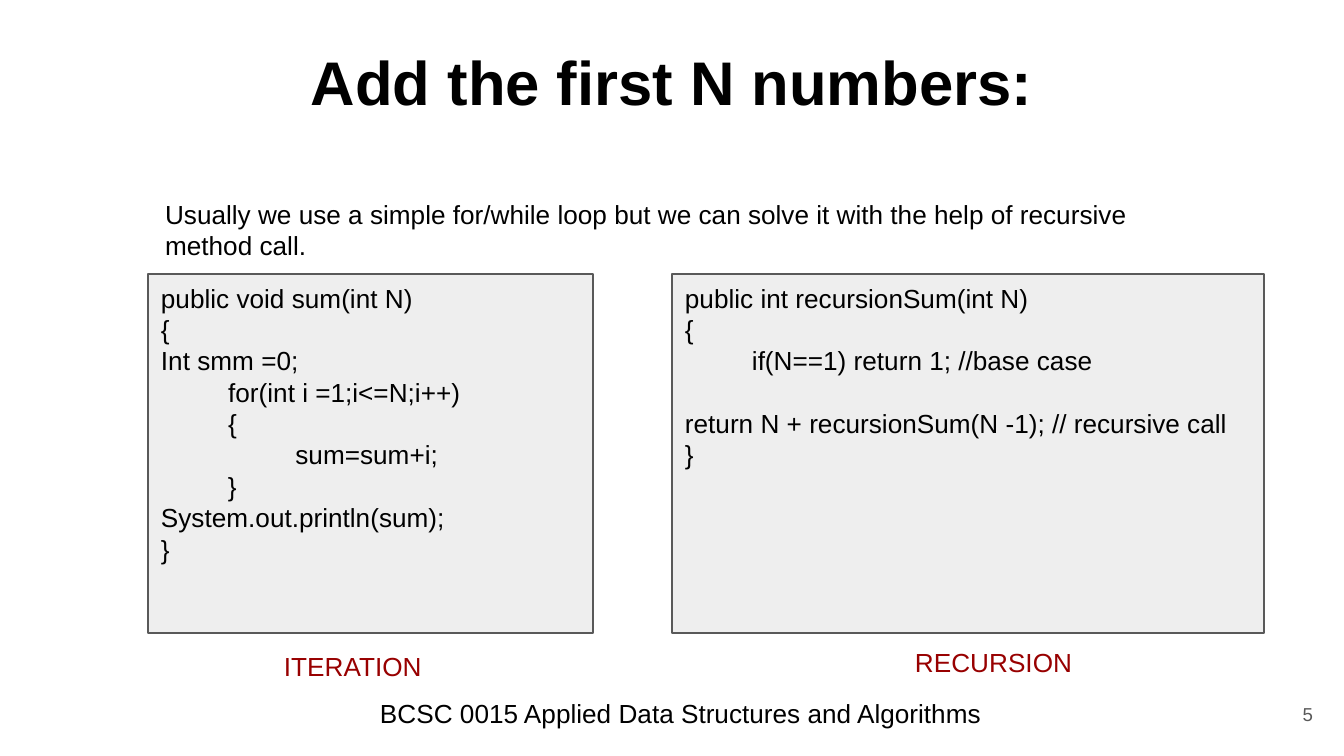
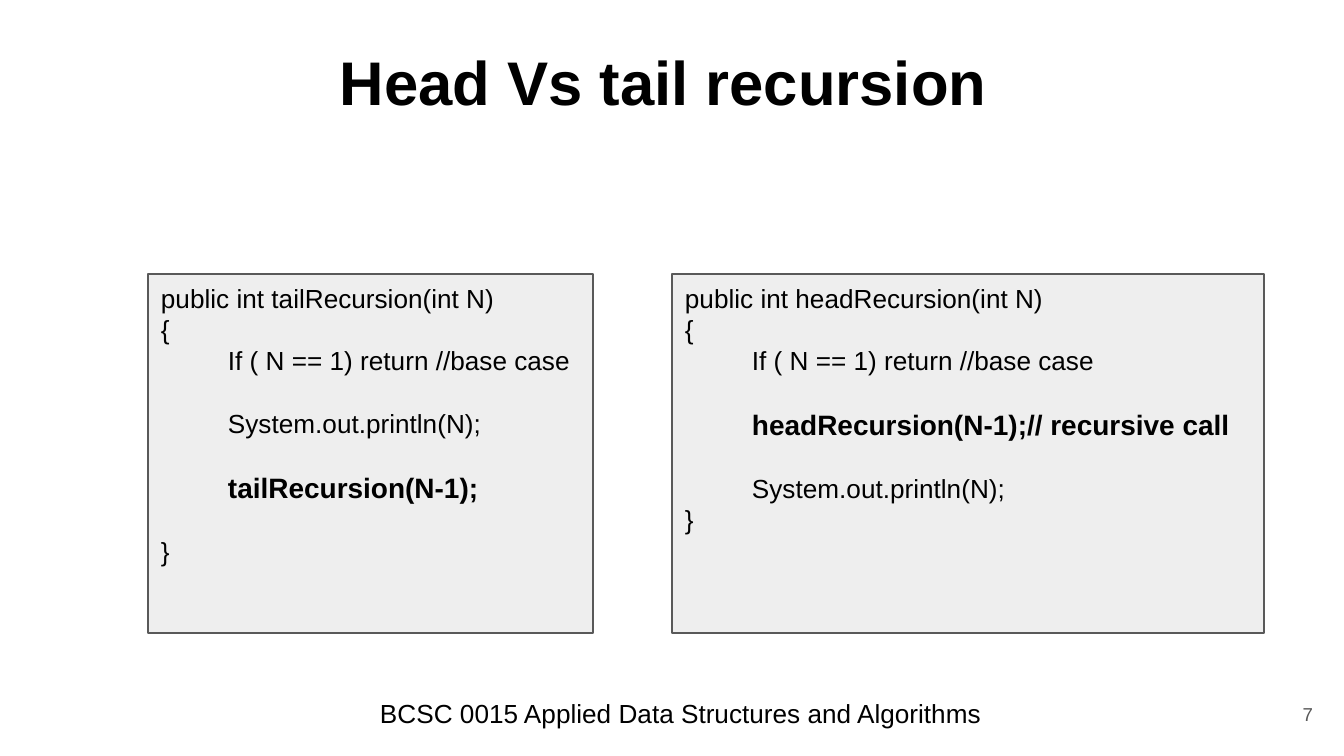
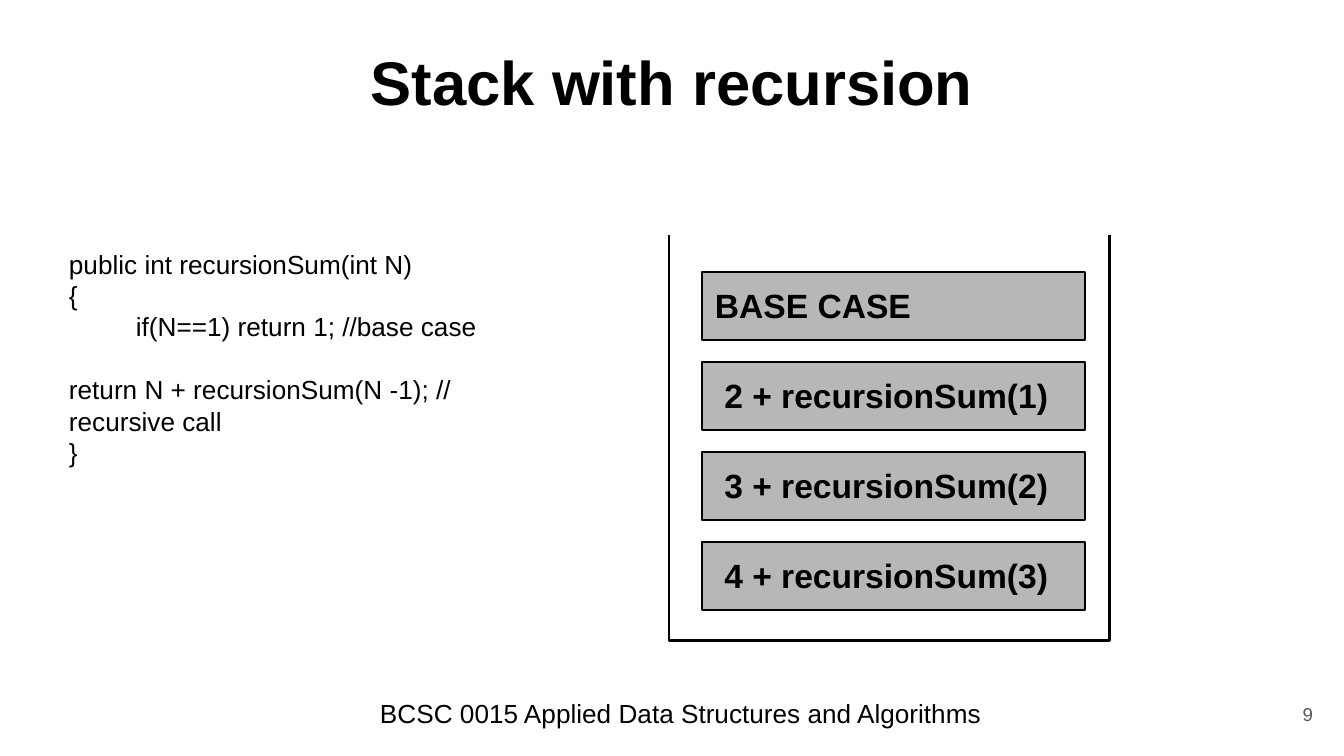
import dataclasses

import pptx
import pptx.dml.color
import pptx.enum.shapes
import pptx.enum.text
import pptx.util

PX = 914400 / 134.4
SLIDE_SIZE = (1344, 756)
FONT = "Arial"
COLORS = {
    "text": "000000",
    "muted": "595959",
    "label": "980000",
    "panel": "EEEEEE",
    "stack": "B7B7B7",
    "background": "FFFFFF",
}
ALIGN = pptx.enum.text.PP_ALIGN
ANCHOR = pptx.enum.text.MSO_ANCHOR

INSET = 13
PANEL_INSET_TOP = 8
HALF_TAB = 67
BLANK_LINE = 16.8  # points

TITLE_BOX = (46, 20, 1252, 92)
FOOTER_BOX = (367, 684, 663, 62)
NUMBER_BOX = (1246, 685, 80, 58)
LEFT_PANEL = (148, 274, 445, 359)
RIGHT_PANEL = (672, 274, 592, 359)
INTRO_BOX = (152, 185, 1080, 90)
ITERATION_BOX = (271, 637, 198, 59)
RECURSION_BOX = (902, 633, 198, 59)
STACK_CODE_BOX = (56, 235, 441, 281)
STACK_FRAME = (669, 200, 441, 441)
STACK_OPENING = (655, 177, 468, 58)
FIRST_CALL = (702, 272, 383, 68)
CALL_PITCH = 90


@dataclasses.dataclass
class Line:
    """One line of text; gap leaves one blank line above it."""
    text: str
    indent: int = 0
    gap: bool = False
    size: int = 14
    bold: bool = False


FOOTER = "BCSC 0015 Applied Data Structures and Algorithms"
INTRO = ("Usually we use a simple for/while loop but we can solve it "
         "with the help of recursive method call.")

ITERATIVE_SUM = [
    Line("public void sum(int N)"),
    Line("{"),
    Line("Int smm =0;"),
    Line("\tfor(int i =1;i<=N;i++)"),
    Line("\t{"),
    Line("\t\tsum=sum+i;"),
    Line("}", HALF_TAB),
    Line("System.out.println(sum);"),
    Line("}"),
]
RECURSIVE_SUM = [
    Line("public int recursionSum(int N)"),
    Line("{"),
    Line("if(N==1) return 1; //base case", HALF_TAB),
    Line("return N + recursionSum(N -1); // recursive call", gap=True),
    Line("}"),
]
TAIL_RECURSION = [
    Line("public int tailRecursion(int N)"),
    Line("{"),
    Line("If ( N == 1) return //base case", HALF_TAB),
    Line("System.out.println(N);", HALF_TAB, gap=True),
    Line("tailRecursion(N-1);", HALF_TAB, gap=True, size=15, bold=True),
    Line("}", gap=True),
]
HEAD_RECURSION = [
    Line("public int headRecursion(int N)"),
    Line("{"),
    Line("If ( N == 1) return //base case", HALF_TAB),
    Line("headRecursion(N-1);// recursive call", HALF_TAB, gap=True, size=15, bold=True),
    Line("System.out.println(N);", HALF_TAB, gap=True),
    Line("}"),
]
STACK_CALLS = [
    "BASE CASE",
    " 2 + recursionSum(1)",
    " 3 + recursionSum(2)",
    " 4 + recursionSum(3)",
]


def emu(pixels):
    return pptx.util.Emu(round(pixels * PX))


def emu_box(box):
    return [emu(length) for length in box]


def rgb(name):
    return pptx.dml.color.RGBColor.from_string(COLORS[name])


def write(shape, lines, color="text", align=ALIGN.LEFT, anchor=ANCHOR.TOP, inset_top=INSET):
    frame = shape.text_frame
    frame.word_wrap = True
    frame.auto_size = pptx.enum.text.MSO_AUTO_SIZE.NONE
    frame.vertical_anchor = anchor
    frame.margin_left = frame.margin_right = frame.margin_bottom = emu(INSET)
    frame.margin_top = emu(inset_top)
    for index, line in enumerate(lines):
        paragraph = frame.add_paragraph() if index else frame.paragraphs[0]
        paragraph.text = line.text
        paragraph.alignment = align
        if line.indent:
            properties = paragraph._p.get_or_add_pPr()
            properties.set("marL", "0")
            properties.set("indent", str(emu(line.indent)))
        if line.gap:
            paragraph.space_before = pptx.util.Pt(BLANK_LINE)
        paragraph.font.name = FONT
        paragraph.font.size = pptx.util.Pt(line.size)
        paragraph.font.bold = line.bold
        paragraph.font.color.rgb = rgb(color)


def add_text(slide, box, lines, **style):
    write(slide.shapes.add_textbox(*emu_box(box)), lines, **style)


def add_rectangle(shapes, box, fill, line=None, width=0.75):
    shape = shapes.add_shape(pptx.enum.shapes.MSO_SHAPE.RECTANGLE, *emu_box(box))
    shape.shadow.inherit = False
    shape.fill.solid()
    shape.fill.fore_color.rgb = rgb(fill)
    if line:
        shape.line.color.rgb = rgb(line)
        shape.line.width = pptx.util.Pt(width)
    else:
        shape.line.fill.background()
    return shape


def add_code_panel(slide, box, lines):
    panel = add_rectangle(slide.shapes, box, "panel", "muted")
    write(panel, lines, inset_top=PANEL_INSET_TOP)


def add_slide(presentation, title, number):
    """Add a slide with the shared title, footer and slide number."""
    slide = presentation.slides.add_slide(presentation.slide_layouts[5])
    heading = slide.shapes.title
    heading.left, heading.top, heading.width, heading.height = emu_box(TITLE_BOX)
    write(heading, [Line(title, size=33, bold=True)], align=ALIGN.CENTER)
    heading.text_frame.paragraphs[0].line_spacing = 1.15
    add_text(slide, FOOTER_BOX, [Line(FOOTER)])
    add_text(slide, NUMBER_BOX, [Line(str(number), size=10)],
             color="muted", align=ALIGN.RIGHT, anchor=ANCHOR.MIDDLE)
    return slide


def add_sum_slide(presentation):
    slide = add_slide(presentation, "Add the first N numbers:", 5)
    add_code_panel(slide, LEFT_PANEL, ITERATIVE_SUM)
    add_code_panel(slide, RIGHT_PANEL, RECURSIVE_SUM)
    add_text(slide, INTRO_BOX, [Line(INTRO)])
    add_text(slide, ITERATION_BOX, [Line("ITERATION")], color="label")
    add_text(slide, RECURSION_BOX, [Line("RECURSION")], color="label")


def add_head_tail_slide(presentation):
    # The trailing space belongs to the centred title line.
    slide = add_slide(presentation, "Head Vs tail recursion ", 7)
    add_code_panel(slide, LEFT_PANEL, TAIL_RECURSION)
    add_code_panel(slide, RIGHT_PANEL, HEAD_RECURSION)


def add_stack_slide(presentation):
    slide = add_slide(presentation, "Stack with recursion", 9)
    add_text(slide, STACK_CODE_BOX, RECURSIVE_SUM)
    stack = slide.shapes.add_group_shape().shapes
    add_rectangle(stack, STACK_FRAME, "background", "text", 1.5)
    add_rectangle(stack, STACK_OPENING, "background")
    left, top, width, height = FIRST_CALL
    for index, call in enumerate(STACK_CALLS):
        box = (left, top + index * CALL_PITCH, width, height)
        write(add_rectangle(stack, box, "stack", "text"), [Line(call, size=18, bold=True)])


def main():
    presentation = pptx.Presentation()
    presentation.slide_width, presentation.slide_height = emu_box(SLIDE_SIZE)
    add_sum_slide(presentation)
    add_head_tail_slide(presentation)
    add_stack_slide(presentation)
    presentation.save("out.pptx")


if __name__ == "__main__":
    main()
